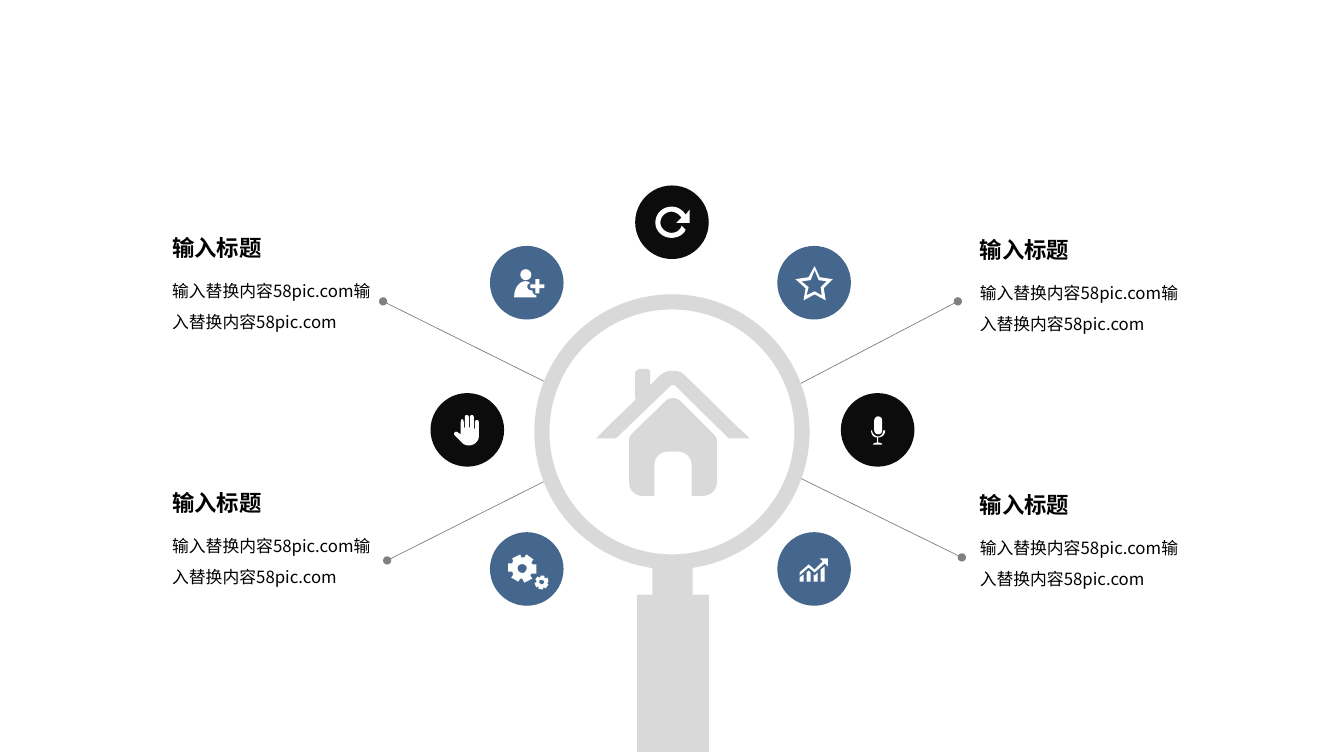
from lxml import etree
from pptx import Presentation
from pptx import util as u
from pptx.dml.color import RGBColor
from pptx.enum import shapes, text
from pptx.oxml.ns import qn

PX = 9144  # EMU per px, 100 px to the inch
THEME = {
    "black": RGBColor.from_string("0C0C0C"),
    "blue": RGBColor.from_string("45678D"),
    "grey": RGBColor.from_string("D9D9D9"),
    "white": RGBColor.from_string("FFFFFF"),
    "line": RGBColor.from_string("808080"),
    "text": RGBColor.from_string("000000"),
    "font": "Noto Sans CJK SC",
    "title": u.Pt(16),
    "body": u.Pt(12),
    "line_width": u.Pt(0.5),
}


def flatten(contour, steps=8):
    """Turn (x, y) corners and (x1, y1, x2, y2, x, y) curves into EMU points."""
    points = []
    for item in contour:
        if len(item) == 2:
            points.append(item)
            continue
        ax, ay = points[-1]
        bx, by, cx, cy, dx, dy = item
        for step in range(1, steps + 1):
            t = step / steps
            weights = ((1 - t) ** 3, 3 * t * (1 - t) ** 2, 3 * t * t * (1 - t), t ** 3)
            points.append((sum(w * v for w, v in zip(weights, (ax, bx, cx, dx))),
                           sum(w * v for w, v in zip(weights, (ay, by, cy, dy)))))
    return [(round(x * PX), round(y * PX)) for x, y in points]


def paint(shape, color):
    shape.shadow.inherit = False
    shape.fill.solid()
    shape.fill.fore_color.rgb = THEME[color]
    shape.line.fill.background()


deck = Presentation()
deck.slide_width, deck.slide_height = 1333 * PX, 750 * PX
page = deck.slides.add_slide(deck.slide_layouts[6])

# Leader lines, from the lens out to a round dot
for ends in ((545, 381, 380, 299), (793, 381, 950, 299),
             (547, 474, 384, 556), (793, 474, 954, 553)):
    leader = page.shapes.add_connector(shapes.MSO_CONNECTOR.STRAIGHT, *[v * PX for v in ends])
    leader.line.color.rgb = THEME["line"]
    leader.line.width = THEME["line_width"]
    etree.SubElement(leader.line._get_or_add_ln(), qn("a:tailEnd"), type="oval")
    etree.SubElement(leader._element.spPr, qn("a:effectLst"))

# Icon discs
DISC = 73
for left, top, color in ((630, 184, "black"), (771, 244, "blue"), (834, 390, "black"),
                         (427, 390, "black"), (486, 528, "blue"), (771, 528, "blue"),
                         (486, 244, "blue")):
    disc = page.shapes.add_shape(shapes.MSO_SHAPE.OVAL, left * PX, top * PX, DISC * PX, DISC * PX)
    paint(disc, color)

# Magnifier and the simple icon parts: kind, left, top, width, height, color, adjustment
KIND = shapes.MSO_SHAPE
for kind, left, top, width, height, color, adjustment in (
    (KIND.DONUT, 530, 292, 273, 273, "grey", 0.055),
    (KIND.RECTANGLE, 647, 560, 40, 42, "grey", None),
    (KIND.RECTANGLE, 632, 590, 71, 156, "grey", None),
    (KIND.OVAL, 516, 267, 11, 11, "white", None),
    (KIND.CROSS, 526, 277, 14, 14, "white", 0.36),
    (KIND.ROUNDED_RECTANGLE, 867, 413, 8, 18, "white", 0.5),
):
    part = page.shapes.add_shape(kind, left * PX, top * PX, width * PX, height * PX)
    paint(part, color)
    if adjustment is not None:
        part.adjustments[0] = adjustment

# Drawn outlines: color and contours, inner contours being holes
refresh = [(684, 221), (684, 208), (680, 213), (677, 208, 672, 205, 666, 205),
           (657, 205, 650, 212, 650, 221), (650, 229, 657, 236, 666, 236),
           (672, 236, 678, 233, 680, 228), (676, 224), (675, 228, 671, 231, 666, 231),
           (660, 231, 655, 226, 655, 221), (655, 215, 660, 210, 666, 210),
           (670, 210, 674, 213, 676, 216), (671, 221)]
star = [(808, 264), (802, 275), (789, 277), (799, 286), (797, 298),
        (808, 292), (819, 298), (817, 286), (826, 277), (813, 275)]
star_hole = [(808, 268), (812, 278), (820, 279), (814, 285), (815, 293),
             (808, 289), (800, 293), (802, 285), (795, 279), (804, 278)]
torso = [(510, 295), (510, 294), (510, 286, 515, 279, 521, 279), (523, 279, 525, 280, 526, 281),
         (525, 281, 523, 282, 523, 284), (523, 289, 528, 288, 528, 288),
         (528, 292, 531, 293, 532, 293), (532, 295)]
hand = [(475, 433), (475, 419), (475, 416, 471, 416, 471, 419), (471, 426), (470, 425),
        (470, 414), (470, 411, 466, 411, 466, 414), (466, 424), (465, 424),
        (465, 414), (465, 411, 461, 411, 461, 414), (461, 424), (460, 425),
        (460, 419), (460, 415, 457, 415, 457, 419), (457, 431), (454, 429),
        (452, 427, 449, 430, 451, 432), (458, 439), (460, 441, 462, 442, 465, 442),
        (470, 442, 475, 438, 475, 433)]
bars = [[(793, 577), (797, 577), (797, 570), (793, 573)],
        [(800, 577), (804, 577), (804, 568), (802, 566), (800, 568)],
        [(807, 577), (811, 577), (811, 568), (808, 571), (807, 570)],
        [(814, 577), (818, 577), (818, 562), (814, 565)]]
trend = [(813, 554), (816, 557), (808, 565), (802, 560), (793, 568), (793, 571),
         (802, 563), (808, 568), (818, 559), (821, 562), (821, 554)]
big_gear = [(527, 569), (532, 569), (532, 560), (528, 560), (527, 558), (529, 555), (522, 550),
            (520, 553), (517, 553), (516, 550), (508, 554), (509, 556), (508, 559), (504, 559),
            (504, 567), (508, 567), (509, 570), (507, 573), (514, 577), (516, 574), (518, 574),
            (520, 578), (528, 574), (526, 571)]
big_hole = [(520, 568), (518, 569, 515, 568, 514, 566), (513, 564, 513, 561, 516, 560),
            (518, 559, 521, 560, 522, 562), (523, 564, 522, 566, 520, 568)]
small_gear = [(543, 578), (544, 577), (543, 573), (541, 574), (540, 573), (540, 571), (536, 571),
              (536, 573), (535, 573), (533, 572), (531, 575), (532, 576), (532, 578), (530, 578),
              (532, 583), (533, 582), (534, 582), (534, 584), (538, 585), (539, 583), (540, 583),
              (541, 584), (544, 580), (543, 579)]
small_hole = [(539, 579), (538, 580, 537, 580, 536, 579), (535, 579, 535, 578, 535, 576),
              (536, 575, 537, 575, 539, 576), (540, 577, 540, 578, 539, 579)]
mic_stand = [(878, 427), (876, 427), (876, 430, 874, 433, 871, 433),
             (868, 433, 865, 430, 865, 427), (864, 427), (864, 431, 866, 434, 870, 434),
             (870, 439), (868, 439, 866, 440, 866, 441), (875, 441),
             (875, 440, 873, 439, 871, 439), (871, 434), (875, 434, 878, 431, 878, 427)]
house = [(711, 437), (711, 434, 709, 432, 707, 430), (675, 398), (671, 394, 664, 394, 660, 398),
         (627, 430), (625, 432, 624, 434, 624, 437), (624, 479), (624, 486, 630, 492, 637, 492),
         (649, 492), (649, 461), (649, 454, 655, 448, 663, 448), (672, 448),
         (680, 448, 686, 454, 686, 461), (686, 492), (697, 492), (705, 492, 711, 486, 711, 479)]
roof = [(732, 424), (679, 372), (677, 371, 676, 369, 674, 369), (672, 368, 670, 368, 667, 368),
        (665, 368, 663, 368, 661, 369), (659, 369, 657, 371, 655, 372), (645, 382), (645, 370),
        (645, 368, 644, 366, 641, 366), (635, 366), (633, 366, 630, 368, 630, 370), (630, 395),
        (631, 396), (602, 424), (591, 435), (611, 435), (666, 382), (669, 382), (723, 435),
        (744, 435)]
for color, contours in (
    ("white", [refresh]), ("white", [star, star_hole]), ("white", [torso]), ("white", [hand]),
    *[("white", [bar]) for bar in bars], ("white", [trend]),
    ("white", [big_gear, big_hole]), ("white", [small_gear, small_hole]),
    ("white", [mic_stand]), ("grey", [house]), ("grey", [roof]),
):
    first, *holes = [flatten(contour) for contour in contours]
    builder = page.shapes.build_freeform(*first[0])
    builder.add_line_segments(first[1:])
    for hole in holes:
        builder.move_to(*hole[0])
        builder.add_line_segments(hole[1:])
    paint(builder.convert_to_shape(), color)

# Four captions, each a title with its body right below
TITLE_HEIGHT = 37
for left, top in ((161, 227), (962, 229), (161, 480), (962, 482)):
    for wording, offset, width, height, spacing, font in (
        ("输入替换内容58pic.com" * 2, TITLE_HEIGHT, 220, 67, 1.5,
         {"size": THEME["body"], "bold": False}),
        ("输入标题", 0, 119, TITLE_HEIGHT, 1.0, {"size": THEME["title"], "bold": True}),
    ):
        box = page.shapes.add_textbox(left * PX, (top + offset) * PX, width * PX, height * PX)
        box.text_frame.word_wrap = True
        box.text_frame.auto_size = text.MSO_AUTO_SIZE.SHAPE_TO_FIT_TEXT
        para = box.text_frame.paragraphs[0]
        para.line_spacing = spacing
        span = para.add_run()
        span.text = wording
        for name, value in {**font, "name": THEME["font"]}.items():
            setattr(span.font, name, value)
        span.font.color.rgb = THEME["text"]
        etree.SubElement(span._r.get_or_add_rPr(), qn("a:ea"), typeface=THEME["font"])

deck.save("out.pptx")
